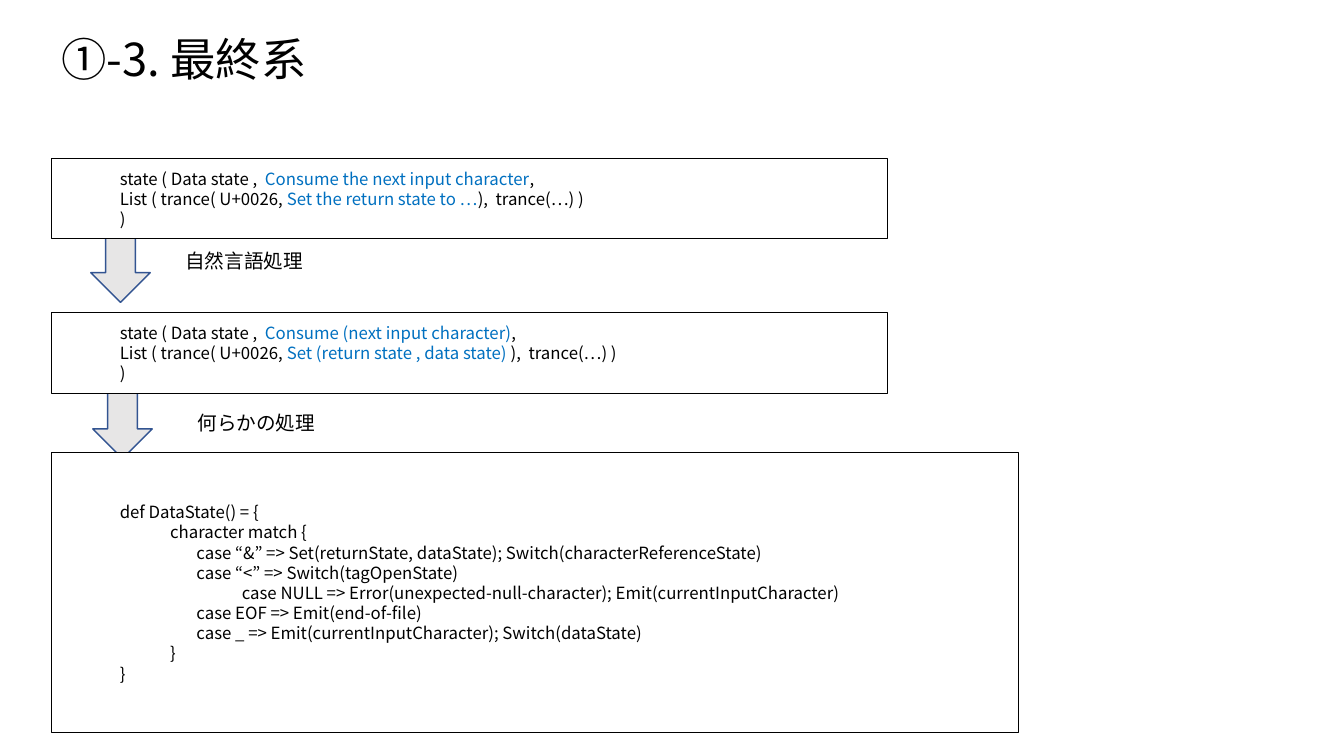
"""Build the slide that shows a state definition turning into code in three steps."""
from pptx import Presentation
from pptx.dml.color import RGBColor
from pptx.enum.shapes import MSO_SHAPE
from pptx.enum.text import MSO_ANCHOR, PP_ALIGN
from pptx.oxml.ns import qn
from pptx.util import Inches, Pt

FONT = "Noto Sans CJK JP"
BLACK, BLUE, WHITE = "000000", "0070C0", "FFFFFF"
GREY, NAVY = "E7E6E6", "325491"
LEFT = 0.51
BASE, MATCH, CASE, NULL_CASE = (0, 0.58), (0.5, 0.58), (0.5, 0.84), (0.5, 1.29)

TITLE = "①-3. 最終系"


def state_lines(consume, set_state, closing):
    """Return the three lines of a state definition."""
    return [
        (BASE, [("state ( Data state ,  ", BLACK), (consume, BLUE), (",", BLACK)]),
        (BASE, [("List ( trance( U+0026, ", BLACK), (set_state, BLUE),
                (closing, BLACK)]),
        (BASE, [(")", BLACK)]),
    ]


SENTENCE = state_lines("Consume the next input character",
                       "Set the return state to …", "),  trance(…) )")
COMMANDS = state_lines("Consume (next input character)",
                       "Set (return state , data state) ", "),  trance(…) )")
CODE = [(indent, [(text, BLACK)]) for indent, text in [
    (BASE, "def DataState() = {"),
    (MATCH, "character match {"),
    (CASE, "case “&” => Set(returnState, dataState); Switch(characterReferenceState)"),
    (CASE, "case “<” => Switch(tagOpenState)"),
    (NULL_CASE, "case NULL => Error(unexpected-null-character); Emit(currentInputCharacter)"),
    (CASE, "case EOF => Emit(end-of-file)"),
    (CASE, "case _ => Emit(currentInputCharacter); Switch(dataState)"),
    (MATCH, "}"),
    (BASE, "}"),
]]

ARROWS = [(0.9, 2.35, 0.59, 0.65), (0.92, 3.86, 0.59, 0.69)]
BOXES = [
    ((LEFT, 3.1, 8.29, 0.8), COMMANDS),
    ((LEFT, 4.49, 9.59, 2.78), CODE),
    ((LEFT, 1.57, 8.29, 0.8), SENTENCE),
]
LABELS = [
    ((1.74, 2.42, 1.56, 0.51), 0.05, "自然言語処理"),
    ((1.86, 3.79, 2.25, 0.51), 0.29, "何らかの処理"),
]


def rgb(color):
    return RGBColor.from_string(color)


def add_run(p, text, size, color=BLACK):
    r = p.add_run()
    r.text = text
    r.font.size = Pt(size)
    r.font.name = FONT
    r.font.color.rgb = rgb(color)
    ea = r.font._element.makeelement(qn("a:ea"), {"typeface": FONT})
    r.font._element.find(qn("a:latin")).addnext(ea)


def add_shape(slide, kind, at, fill, line, width):
    sp = slide.shapes.add_shape(kind, *map(Inches, at))
    sp.shadow.inherit = False
    sp.fill.solid()
    sp.fill.fore_color.rgb = rgb(fill)
    sp.line.color.rgb = rgb(line)
    sp.line.width = Pt(width)
    return sp


def add_box(slide, at, lines):
    tf = add_shape(slide, MSO_SHAPE.RECTANGLE, at, WHITE, BLACK, 0.75).text_frame
    tf.word_wrap = True
    tf.vertical_anchor = MSO_ANCHOR.MIDDLE
    for i, ((margin, indent), runs) in enumerate(lines):
        p = tf.add_paragraph() if i else tf.paragraphs[0]
        p.alignment = PP_ALIGN.LEFT
        p.line_spacing = Pt(14.4)
        pPr = p._p.get_or_add_pPr()
        pPr.set("marL", str(Inches(margin)))
        pPr.set("indent", str(Inches(indent)))
        for text, color in runs:
            add_run(p, text, 12, color)


def add_label(slide, at, top, text):
    tf = slide.shapes.add_textbox(*map(Inches, at)).text_frame
    tf.word_wrap = True
    tf.margin_top = Inches(top)
    add_run(tf.paragraphs[0], text, 14)


def add_title(slide):
    title = slide.shapes.title
    title.left, title.top, title.width, title.height = map(
        Inches, (LEFT, 0.35, 11.5, 0.53))
    tf = title.text_frame
    tf.vertical_anchor = MSO_ANCHOR.MIDDLE
    p = tf.paragraphs[0]
    p.alignment = PP_ALIGN.LEFT
    p.line_spacing = 0.9
    add_run(p, TITLE, 32.4)


def main():
    prs = Presentation()
    prs.slide_width, prs.slide_height = Inches(13.33), Inches(7.5)
    slide = prs.slides.add_slide(prs.slide_layouts[5])
    add_title(slide)
    for at in ARROWS:
        add_shape(slide, MSO_SHAPE.DOWN_ARROW, at, GREY, NAVY, 1)
    for at, lines in BOXES:
        add_box(slide, at, lines)
    for at, top, text in LABELS:
        add_label(slide, at, top, text)
    prs.save("out.pptx")


if __name__ == "__main__":
    main()
